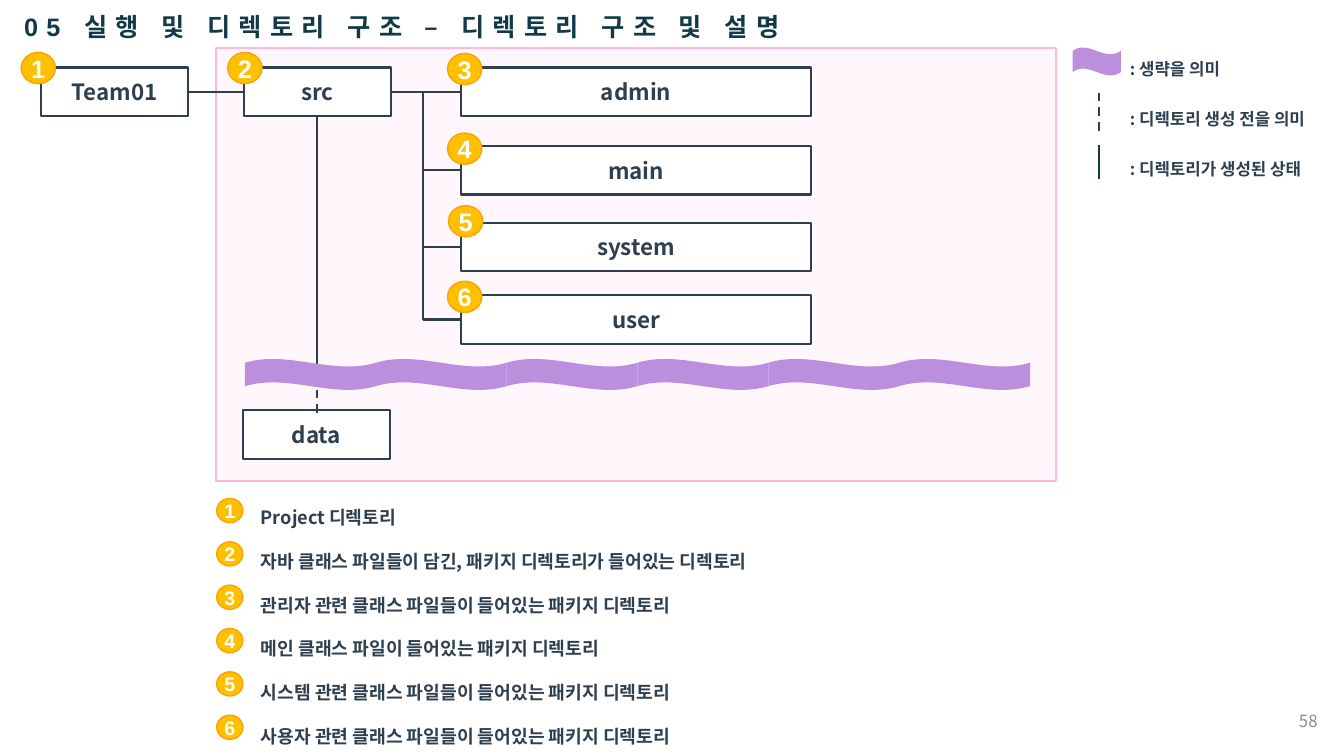
import pptx
import pptx.util
import pptx.dml.color
import pptx.enum.dml
import pptx.enum.shapes
import pptx.enum.text
import pptx.oxml

Pt = pptx.util.Pt
SHAPE = pptx.enum.shapes.MSO_SHAPE
ALIGN = pptx.enum.text.PP_ALIGN
ANCHOR = pptx.enum.text.MSO_ANCHOR
A_NS = 'xmlns:a="http://schemas.openxmlformats.org/drawingml/2006/main"'
KOREAN = "Noto Sans CJK KR"
COLORS = {"ink": "2E3F4F", "title": "113947", "panel": "FFF7FB", "panel_line": "FFB7E0",
          "badge": "FFC000", "badge_line": "FBA305", "wave": "BC8EDE",
          "white": "FFFFFF", "page": "8C8C8C"}

# Package name and top of its box inside the panel, then its badge offset
PACKAGES = [("admin", 1.9, -1.3, -1.4), ("main", 9.7, -1.3, -1.3),
            ("system", 17.3, -1.2, -1.7), ("user", 24.5, -1.3, -1.4)]
DESCRIPTIONS = ["Project 디렉토리",
                "자바 클래스 파일들이 담긴, 패키지 디렉토리가 들어있는 디렉토리",
                "관리자 관련 클래스 파일들이 들어있는 패키지 디렉토리",
                "메인 클래스 파일이 들어있는 패키지 디렉토리",
                "시스템 관련 클래스 파일들이 들어있는 패키지 디렉토리",
                "사용자 관련 클래스 파일들이 들어있는 패키지 디렉토리"]
LEGEND = [": 생략을 의미", ": 디렉토리 생성 전을 의미", ": 디렉토리가 생성된 상태"]


def grid(*cells):
    """Cells of the slide grid, ten to the inch, as lengths."""
    return [pptx.util.Inches(c / 10) for c in cells]


def rgb(name):
    return pptx.dml.color.RGBColor.from_string(COLORS[name])


def write(sp, lines, size, color="ink", font=KOREAN, bold=True, align=ALIGN.LEFT,
          anchor=ANCHOR.TOP, spacing=None, tracking=None, inset=None):
    tf = sp.text_frame
    tf.word_wrap = True
    tf.vertical_anchor = anchor
    if inset is not None:
        tf.margin_left = tf.margin_right = tf.margin_top = tf.margin_bottom = inset
    for i, line in enumerate(lines):
        p = tf.paragraphs[0] if i == 0 else tf.add_paragraph()
        p.alignment = align
        if spacing:
            p.line_spacing = spacing[i]
        r = p.add_run()
        r.text = line
        r.font.size, r.font.bold, r.font.name = Pt(size), bold, font
        r.font.color.rgb = rgb(color)
        rPr = r.font._element
        rPr.append(pptx.oxml.parse_xml(f'<a:ea {A_NS} typeface="{KOREAN}"/>'))
        if tracking:
            rPr.set("spc", str(tracking * 100))


def text_box(s, box, lines, size, **fmt):
    write(s.shapes.add_textbox(*grid(*box)), lines, size, **fmt)


def shape(s, kind, box, fill=None, line=None, width=1.5):
    sp = s.shapes.add_shape(kind, *grid(*box))
    sp.shadow.inherit = False
    if fill:
        sp.fill.solid()
        sp.fill.fore_color.rgb = rgb(fill)
    else:
        sp.fill.background()
    if line:
        sp.line.color.rgb = rgb(line)
        sp.line.width = Pt(width)
    else:
        sp.line.fill.background()
    return sp


def connect(s, x1, y1, x2, y2, color="ink", dashed=False):
    c = s.shapes.add_connector(pptx.enum.shapes.MSO_CONNECTOR.STRAIGHT, *grid(x1, y1, x2, y2))
    c.line.color.rgb = rgb(color)
    c.line.width = Pt(1.5)
    if dashed:
        c.line.dash_style = pptx.enum.dml.MSO_LINE.DASH
    c._element.spPr.append(pptx.oxml.parse_xml(f"<a:effectLst {A_NS}/>"))


def badge(s, number, x, y, w=3.4, h=3.1, size=18):
    sp = shape(s, SHAPE.OVAL, (x, y, w, h), "badge", "badge_line", 1)
    write(sp, [str(number)], size, color="white", font="Arial",
          align=ALIGN.CENTER, anchor=ANCHOR.MIDDLE, inset=0)


def node(s, name, x, y, w=14.6, h=4.8, fill="white"):
    sp = shape(s, SHAPE.RECTANGLE, (x, y, w, h), fill, "ink")
    write(sp, [name], 16, align=ALIGN.CENTER, anchor=ANCHOR.MIDDLE)


def directory_tree(s, box):
    x, y, w, h = box
    shape(s, SHAPE.RECTANGLE, box, "panel", "panel_line")
    src_x, pack_x, trunk_x, stem_x = x + 2.8, x + 24.3, x + 20.6, x + 10.05
    top, middle = y + 1.9, y + 4.3

    # Links between directories
    connect(s, stem_x, top + 1.1, stem_x, y + 31.7)
    connect(s, x - 2.8, middle, src_x, middle)
    connect(s, src_x + 14.5, middle, pack_x, middle)
    connect(s, trunk_x, middle, trunk_x, y + PACKAGES[-1][1] + 2.4)
    for _, row, _, _ in PACKAGES[1:]:
        connect(s, trunk_x, y + row + 2.4, pack_x, y + row + 2.4)

    # Directories and their numbers
    node(s, "Team01", x - 17.3, top, fill=None)
    badge(s, 1, x - 19.3, top - 1.5)
    node(s, "src", src_x, top)
    badge(s, 2, src_x - 1.6, top - 1.5)
    node(s, "data", x + 2.7, y + 35.9)
    for number, (name, row, dx, dy) in enumerate(PACKAGES, 3):
        node(s, name, pack_x, y + row, w=34.8)
        badge(s, number, pack_x + dx, y + row + dy)

    # Omitted part
    connect(s, stem_x, y + 32.4, stem_x, y + 36.3, dashed=True)
    for i in range(6):
        shape(s, SHAPE.WAVE, (x + 2.9 + i * 12.98, y + 30.8, 12.98, 3.1), "wave")


def descriptions(s, box):
    x, y, w, h = box
    text_box(s, (x + 3.4, y, w - 3.4, h), DESCRIPTIONS, 13, spacing=[2] * len(DESCRIPTIONS))
    for i in range(len(DESCRIPTIONS)):
        badge(s, i + 1, x, y + 1.85 + i * 4.3, 2.6, 2.4, 14)


def legend(s, box):
    x, y, w, h = box
    text_box(s, (x + 4.7, y, w - 4.7, h), LEGEND, 12, spacing=[2, 2.5, 2.5])
    shape(s, SHAPE.WAVE, (x, y + 1.4, 4.8, 2.8), "wave")
    connect(s, x + 2.6, y + 5.9, x + 2.6, y + 9.8, dashed=True)
    connect(s, x + 2.6, y + 11.1, x + 2.6, y + 14.5, color="title")


def main():
    prs = pptx.Presentation()
    prs.slide_width, prs.slide_height = grid(133.33, 75)
    s = prs.slides.add_slide(prs.slide_layouts[6])
    text_box(s, (1.4, 0.6, 96.4, 4), ["05 실행 및 디렉토리 구조 – 디렉토리 구조 및 설명"], 18,
             color="title", font="Arial", tracking=6)
    directory_tree(s, (21.4, 4.8, 83.4, 42.9))
    descriptions(s, (21.5, 47.6, 86.8, 26.6))
    legend(s, (106.4, 3.3, 26.9, 14.3))
    text_box(s, (101.7, 69.5, 30, 4), ["58"], 12, color="page", bold=False,
             align=ALIGN.RIGHT, anchor=ANCHOR.MIDDLE)
    prs.save("out.pptx")


if __name__ == "__main__":
    main()
